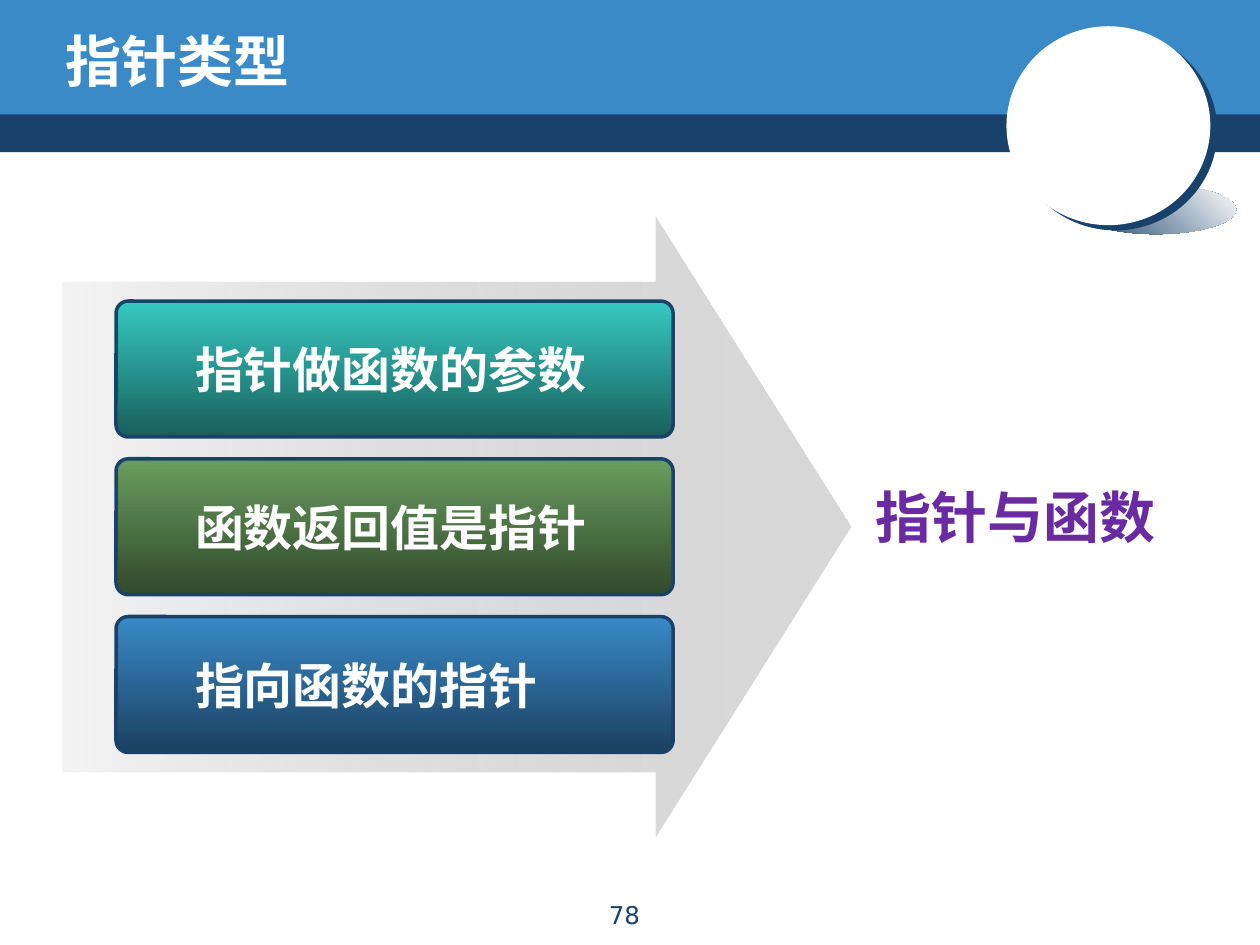
from dataclasses import dataclass
from typing import Optional

from lxml import etree
from pptx import Presentation
from pptx.dml.color import RGBColor
from pptx.enum.shapes import MSO_SHAPE
from pptx.enum.text import MSO_ANCHOR, PP_ALIGN
from pptx.oxml.ns import qn
from pptx.util import Cm, Pt

RECTANGLE = MSO_SHAPE.RECTANGLE
ELLIPSE = MSO_SHAPE.OVAL
ARROW = MSO_SHAPE.RIGHT_ARROW
ROUNDED = MSO_SHAPE.ROUNDED_RECTANGLE
MIDDLE, TOP = MSO_ANCHOR.MIDDLE, MSO_ANCHOR.TOP
LEFT, CENTER = PP_ALIGN.LEFT, PP_ALIGN.CENTER

NAVY, BLUE, WHITE, PURPLE = "19426B", "398AC7", "FFFFFF", "692AA2"
CHINESE_FONT = "Noto Sans CJK SC"
CORNER = 0.09


@dataclass(frozen=True)
class Box:
    left: float
    top: float
    width: float
    height: float

    def lengths(self) -> tuple:
        return Cm(self.left), Cm(self.top), Cm(self.width), Cm(self.height)


@dataclass(frozen=True)
class TextStyle:
    size: int
    color: str
    font: str = CHINESE_FONT
    bold: bool = True
    align: PP_ALIGN = LEFT
    anchor: MSO_ANCHOR = MIDDLE
    indent: float = 0


@dataclass(frozen=True)
class Topic:
    text: str
    top_color: str
    bottom_color: str


TOPICS = (
    Topic("指针做函数的参数", "35C9C2", "1A5F5B"),
    Topic("函数返回值是指针", "699D5F", "31492B"),
    Topic("指向函数的指针", BLUE, "1B4060"),
)
FIRST_BAR = Box(2.34, 6.07, 11.23, 2.74)
BAR_STEP = 3.18


def color(hex_text: str) -> RGBColor:
    return RGBColor.from_string(hex_text)


def add_shape(slide, kind: MSO_SHAPE, box: Box, fill: Optional[str] = None):
    shape = slide.shapes.add_shape(kind, *box.lengths())
    shape.shadow.inherit = False
    shape.line.fill.background()
    if fill:
        shape.fill.solid()
        shape.fill.fore_color.rgb = color(fill)
    else:
        shape.fill.background()
    return shape


def set_gradient(shape, start: str, end: str, angle: float) -> None:
    shape.fill.gradient()
    shape.fill.gradient_angle = angle
    for stop, stop_color in zip(shape.fill.gradient_stops, (start, end)):
        stop.color.rgb = color(stop_color)


def set_start_opacity(shape, percent: int) -> None:
    first_color = next(shape._element.spPr.iter(qn("a:srgbClr")))
    etree.SubElement(first_color, qn("a:alpha"), val=str(percent * 1000))


def add_shadow(shape, hex_text: str, distance: float, angle: int) -> None:
    effects = shape._element.spPr.find(qn("a:effectLst"))
    shadow = etree.SubElement(
        effects, qn("a:outerShdw"), dist=str(Pt(distance)),
        dir=str(angle * 60000), algn="ctr", rotWithShape="0")
    etree.SubElement(shadow, qn("a:srgbClr"), val=hex_text)


def write_text(shape, text: str, style: TextStyle) -> None:
    frame = shape.text_frame
    frame.word_wrap = True
    frame.vertical_anchor = style.anchor
    paragraph = frame.paragraphs[0]
    paragraph.alignment = style.align
    if style.indent:
        paragraph._p.get_or_add_pPr().set("marL", str(Cm(style.indent)))
    run = paragraph.add_run()
    run.text = text
    run.font.size = Pt(style.size)
    run.font.bold = style.bold
    run.font.name = style.font
    run.font.color.rgb = color(style.color)
    etree.SubElement(run._r.get_or_add_rPr(), qn("a:ea"), typeface=CHINESE_FONT)


def add_text(slide, box: Box, text: str, style: TextStyle) -> None:
    write_text(slide.shapes.add_textbox(*box.lengths()), text, style)


def draw_header(slide) -> None:
    add_shape(slide, RECTANGLE, Box(0, 2.21, 25.4, 0.86), NAVY)
    add_shape(slide, RECTANGLE, Box(0, 0, 25.4, 2.31), BLUE)
    ground = add_shape(slide, ELLIPSE, Box(21.69, 3.73, 3.23, 0.99))
    set_gradient(ground, NAVY, WHITE, 45)
    disc = add_shape(slide, ELLIPSE, Box(20.29, 0.53, 4.11, 4.01), WHITE)
    add_shadow(disc, NAVY, 5, 37)
    add_shape(slide, ELLIPSE, Box(21.69, 1.73, 1.45, 1.5), WHITE)


def draw_topics(slide) -> None:
    arrow = add_shape(slide, ARROW, Box(1.27, 4.37, 15.88, 12.5))
    arrow.adjustments[0] = 0.79
    arrow.adjustments[1] = 0.315
    set_gradient(arrow, "B2B2B2", "D7D7D7", 0)
    set_start_opacity(arrow, 15)

    style = TextStyle(28, WHITE, indent=1.27)
    for index, topic in enumerate(TOPICS):
        box = Box(FIRST_BAR.left, FIRST_BAR.top + index * BAR_STEP,
                  FIRST_BAR.width, FIRST_BAR.height)
        bar = add_shape(slide, ROUNDED, box)
        bar.adjustments[0] = CORNER
        set_gradient(bar, topic.top_color, topic.bottom_color, 270)
        bar.line.color.rgb = color(NAVY)
        bar.line.width = Pt(2)
        write_text(bar, topic.text, style)

    result = add_shape(slide, ROUNDED, Box(17.3, 8.61, 6.91, 3.61))
    result.adjustments[0] = CORNER
    write_text(result, "指针与函数", TextStyle(32, PURPLE))


def main() -> None:
    presentation = Presentation()
    presentation.slide_width = Cm(25.4)
    presentation.slide_height = Cm(19.05)
    slide = presentation.slides.add_slide(presentation.slide_layouts[6])
    draw_header(slide)
    draw_topics(slide)
    add_text(slide, Box(10.29, 18.01, 4.6, 0.81), "78",
             TextStyle(14, NAVY, "DejaVu Sans", False, CENTER, TOP))
    add_text(slide, Box(1.07, 0.43, 20.52, 1.57), "指针类型",
             TextStyle(32, WHITE, "Comic Neue"))
    presentation.save("out.pptx")


if __name__ == "__main__":
    main()
